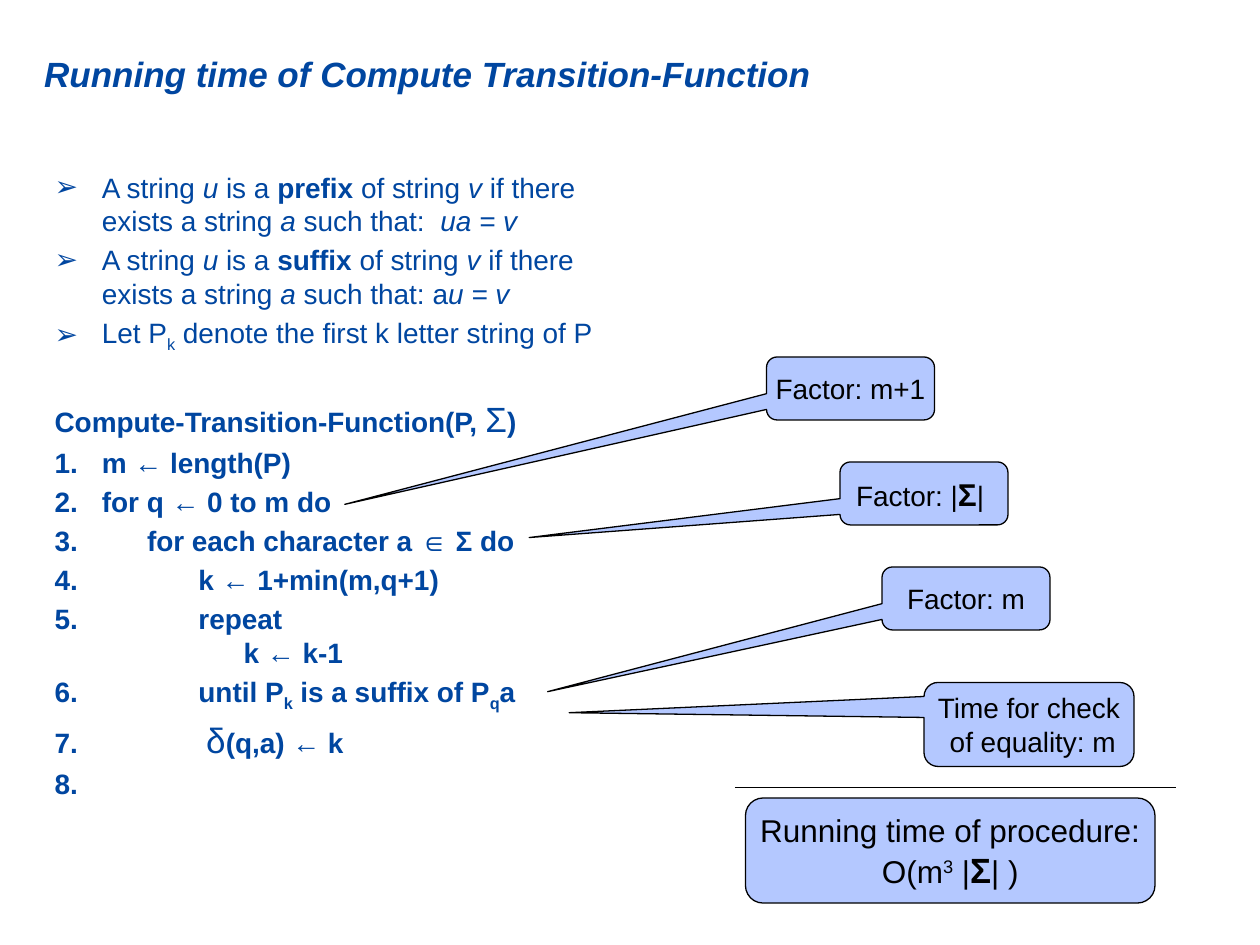
from dataclasses import dataclass

import pptx
import pptx.dml.color
import pptx.enum.shapes
import pptx.enum.text
import pptx.oxml
import pptx.oxml.ns
import pptx.util
from lxml import etree

Pt = pptx.util.Pt
SHAPE = pptx.enum.shapes.MSO_SHAPE
ALIGN = pptx.enum.text.PP_ALIGN
ANCHOR = pptx.enum.text.MSO_ANCHOR
COLORS = {"text": "0046A0", "fill": "B4C8FF", "ink": "000000"}
FONT = "Arial"
EMU_PER_PX = 914400 // 120
INDENT = 45
TAB_STOPS = (88, 137)
BOLD, ITALIC, SUB = {"bold": True}, {"italic": True}, {"baseline": -25000}
BOLD_SUB = BOLD | SUB
NO_BULLET, ARROW, NUMBER = "<a:buNone {}/>", '<a:buChar {} char="➢"/>', '<a:buAutoNum {} type="arabicPeriod"/>'


@dataclass
class Run:
    text: str
    fmt: dict


@dataclass
class Item:
    bullet: str
    runs: list[Run]
    before: float = 3.2


@dataclass
class Box:
    kind: int
    at: tuple[int, int, int, int]
    adjustments: tuple[float, ...]
    size: int
    lines: list[list[Run]]


def plain(text: str) -> Run:
    return Run(text, {})


def bold(text: str) -> Run:
    return Run(text, BOLD)


def italic(text: str) -> Run:
    return Run(text, ITALIC)


def px(n: int) -> int:
    return n * EMU_PER_PX


def rgb(name: str) -> pptx.dml.color.RGBColor:
    return pptx.dml.color.RGBColor.from_string(COLORS[name])


def set_all(obj, values: dict) -> None:
    for name, value in values.items():
        setattr(obj, name, value)


def place(sp, at: tuple[int, int, int, int]) -> None:
    set_all(sp, dict(zip(("left", "top", "width", "height"), map(px, at))))


def add_runs(p, runs: list[Run], size: int, color: str) -> None:
    """Add formatted runs, turning each newline into a line break."""
    for run in runs:
        for i, text in enumerate(run.text.split("\n")):
            if i:
                p.add_line_break()
            r = p.add_run()
            r.text = text
            fmt = {"name": FONT, "size": Pt(size), "bold": False, "italic": False} | run.fmt
            baseline = fmt.pop("baseline", None)
            set_all(r.font, fmt)
            r.font.color.rgb = rgb(color)
            if baseline:
                r._r.get_or_add_rPr().set("baseline", str(baseline))


def add_list_format(p, bullet: str) -> None:
    """Give a paragraph its hanging indent, bullet and tab stops."""
    ns = pptx.oxml.ns.nsdecls("a")
    pPr = p._p.get_or_add_pPr()
    pPr.set("marL", str(px(INDENT)))
    pPr.set("indent", str(-px(INDENT)))
    tabs = "".join(f'<a:tab pos="{px(t)}" algn="l"/>' for t in TAB_STOPS)
    for xml in (bullet.format(ns), f"<a:tabLst {ns}>{tabs}</a:tabLst>"):
        pPr.append(pptx.oxml.parse_xml(xml))


def fill_title(sp) -> None:
    place(sp, (0, 0, 822, 140))
    tf = sp.text_frame
    set_all(tf, {"margin_left": px(42), "margin_right": px(12), "margin_top": px(6),
                 "margin_bottom": px(6), "vertical_anchor": ANCHOR.MIDDLE, "word_wrap": True,
                 "auto_size": pptx.enum.text.MSO_AUTO_SIZE.NONE})
    p = tf.paragraphs[0]
    p.alignment = ALIGN.LEFT
    add_runs(p, [Run("Running time of Compute Transition-Function", BOLD | ITALIC)], 20, "text")


def fill_body(sp, items: list[Item]) -> None:
    place(sp, (40, 156, 540, 698))
    tf = sp.text_frame
    set_all(tf, {"vertical_anchor": ANCHOR.TOP, "word_wrap": True,
                 "auto_size": pptx.enum.text.MSO_AUTO_SIZE.NONE})
    for i, item in enumerate(items):
        p = tf.add_paragraph() if i else tf.paragraphs[0]
        set_all(p, {"alignment": ALIGN.LEFT, "space_before": Pt(item.before if i else 0)})
        add_list_format(p, item.bullet)
        add_runs(p, item.runs, 16, "text")


def add_box(slide, box: Box) -> None:
    sp = slide.shapes.add_shape(box.kind, *map(px, box.at))
    for i, value in enumerate(box.adjustments):
        sp.adjustments[i] = value
    sp.shadow.inherit = False
    sp.fill.solid()
    sp.fill.fore_color.rgb = rgb("fill")
    sp.line.color.rgb = rgb("ink")
    sp.line.width = Pt(0.75)
    tf = sp.text_frame
    set_all(tf, {"word_wrap": False, "vertical_anchor": ANCHOR.MIDDLE})
    for i, runs in enumerate(box.lines):
        p = tf.add_paragraph() if i else tf.paragraphs[0]
        p.alignment = ALIGN.CENTER
        add_runs(p, runs, box.size, "ink")


def callout(at: tuple[int, int, int, int], tip: tuple[float, float], runs: list[Run]) -> Box:
    return Box(SHAPE.ROUNDED_RECTANGULAR_CALLOUT, at, (*tip, 0.167), 16, [runs])


def add_rule(slide, x1: int, x2: int, y: int) -> None:
    line = slide.shapes.add_connector(pptx.enum.shapes.MSO_CONNECTOR.STRAIGHT,
                                      px(x1), px(y), px(x2), px(y))
    line.line.color.rgb = rgb("ink")
    line.line.width = Pt(0.75)
    etree.SubElement(line._element.spPr, pptx.oxml.ns.qn("a:effectLst"))


def definition(word: str, such_that: str, equation: str) -> Item:
    return Item(ARROW, [plain("A string "), italic("u"), plain(" is a "), bold(word),
                        plain(" of string "), italic("v"), plain(" if there exists a string "),
                        italic("a"), plain(such_that), italic(equation)])


def step(*runs: Run) -> Item:
    return Item(NUMBER, list(runs))


ITEMS = [
    definition("prefix", " such that:\t ", "ua = v"),
    definition("suffix", " such that:\ta", "u = v"),
    Item(ARROW, [plain("Let P"), Run("k", SUB), plain(" denote the first k letter string of P")]),
    Item(NO_BULLET, [bold("Compute-Transition-Function(P, "), Run("Σ", {"size": Pt(20)}),
                     bold(")")], before=25),
    step(bold("m ← length(P)")),
    step(bold("for q ← 0 to m do")),
    step(bold("\tfor each character a ∈ Σ do")),
    step(bold("\t\tk ← 1+min(m,q+1)")),
    step(bold("\t\trepeat\n\t\t\tk ← k-1")),
    step(bold("\t\tuntil P"), Run("k", BOLD_SUB), bold(" is a suffix of P"),
         Run("q", BOLD_SUB), bold("a")),
    step(bold("\t\t "), Run("δ", {"size": Pt(20)}), bold("(q,a) ← k")),
    step(bold("\t")),
]
CALLOUTS = [
    callout((730, 340, 160, 60), (-3.01, 1.84), [plain("Factor: m+1")]),
    callout((800, 440, 160, 60), (-2.35, 0.7),
            [plain("Factor: |"), Run("Σ", BOLD | {"size": Pt(18)}), plain("| ")]),
    callout((840, 540, 160, 60), (-2.49, 1.48), [plain("Factor: m")]),
    callout((880, 650, 200, 80), (-2.19, -0.14), [plain("Time for check\n of equality: m")]),
]
RESULT = Box(SHAPE.ROUNDED_RECTANGLE, (710, 760, 390, 100), (0.167,), 18, [
    [plain("Running time of procedure:")],
    [plain("O(m"), Run("3", {"baseline": 30000}), plain(" |"),
     Run("Σ", BOLD | {"size": Pt(20)}), plain("| )")],
])


def main() -> None:
    prs = pptx.Presentation()
    set_all(prs, {"slide_width": px(1200), "slide_height": px(900)})
    slide = prs.slides.add_slide(prs.slide_layouts[1])
    fill_title(slide.shapes.title)
    fill_body(slide.placeholders[1], ITEMS)
    for box in CALLOUTS:
        add_box(slide, box)
    add_rule(slide, 700, 1120, 750)
    add_box(slide, RESULT)
    prs.save("out.pptx")


if __name__ == "__main__":
    main()
